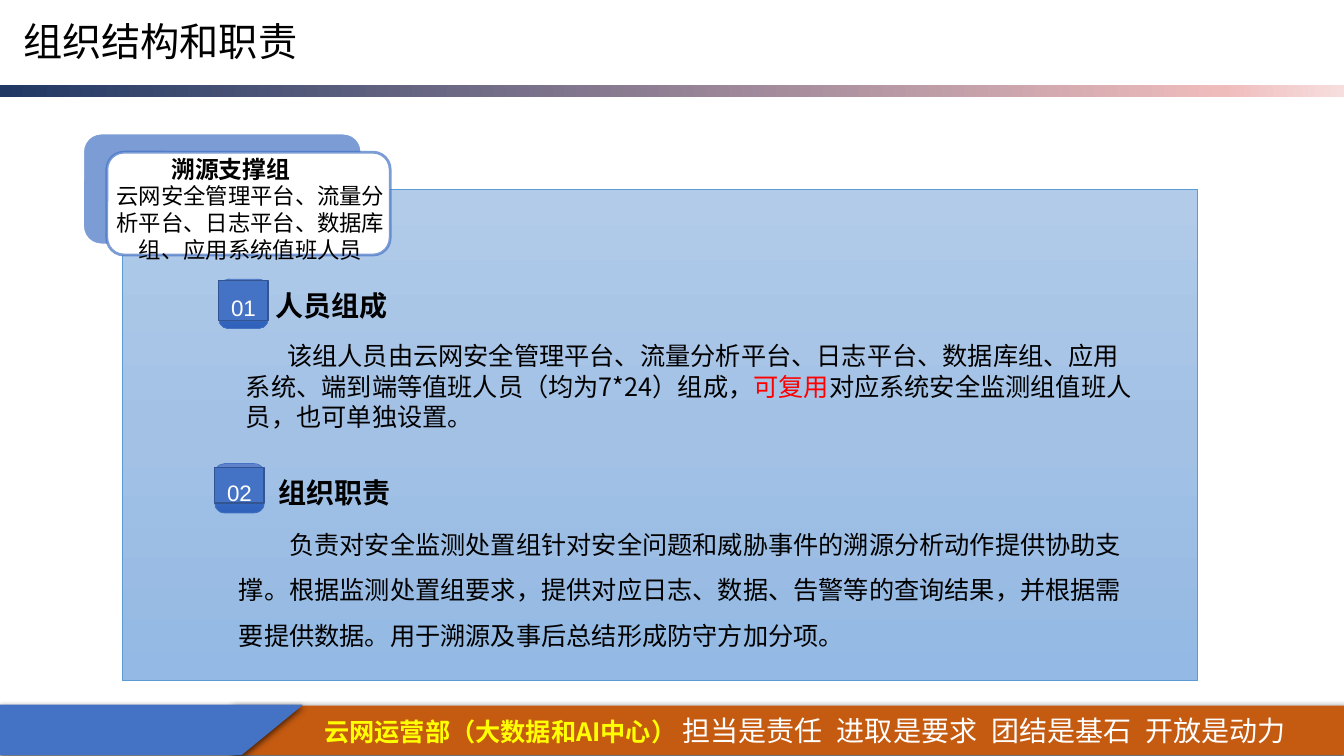
from copy import deepcopy
from lxml.etree import SubElement
from pptx import Presentation
from pptx.dml.color import RGBColor
from pptx.enum.shapes import MSO_SHAPE as KIND
from pptx.enum.text import MSO_ANCHOR, PP_ALIGN
from pptx.oxml.ns import qn
from pptx.util import Inches, Pt

BLACK = RGBColor(0, 0, 0)
WHITE = RGBColor(255, 255, 255)
RED = RGBColor(255, 0, 0)
YELLOW = RGBColor(255, 255, 0)
ORANGE = RGBColor(0xC5, 0x5A, 0x11)
BLUE = RGBColor(0x44, 0x72, 0xC4)
EDGE = RGBColor(0x32, 0x54, 0x91)
RIM = RGBColor(0x5B, 0x9B, 0xD5)
STRIPE = [(0, RGBColor(0x20, 0x38, 0x64)), (0.91, RGBColor(0xEF, 0xBC, 0xBC)),
          (1, RGBColor(0xF7, 0xDE, 0xDE))]
SKY = [(0, RGBColor(0xB1, 0xCB, 0xE9)), (0.5, RGBColor(0xA3, 0xC1, 0xE5)),
       (1, RGBColor(0x93, 0xB9, 0xE4))]
DEEP = [(0, RGBColor(0x61, 0x83, 0xCB)), (0.5, RGBColor(0x3E, 0x70, 0xCA)),
        (1, RGBColor(0x30, 0x62, 0xBB))]
SANS = "Noto Sans CJK SC"

deck = Presentation()
deck.slide_width, deck.slide_height = Inches(13.33), Inches(7.5)
slide = deck.slides.add_slide(deck.slide_layouts[6])
COL, ROW = deck.slide_width / 100, deck.slide_height / 100


def block(kind, x, y, w, h, fill, line=None, width=0, angle=270):
    shape = slide.shapes.add_shape(kind, int(x * COL), int(y * ROW), int(w * COL), int(h * ROW))
    shape.shadow.inherit = False
    if isinstance(fill, list):
        shape.fill.gradient()
        shape.fill.gradient_angle = angle
        stops = shape._element.spPr.find(".//" + qn("a:gsLst"))
        stops.append(deepcopy(stops[0]))
        for stop, (place, tone) in zip(shape.fill.gradient_stops, fill):
            stop.position, stop.color.rgb = place, tone
    else:
        shape.fill.solid()
        shape.fill.fore_color.rgb = fill
    if line is None:
        shape.line.fill.background()
    else:
        shape.line.color.rgb, shape.line.width = line, Pt(width)
    return shape


def write(x, y, w, h, text, size, pad=True, bold=False, font=SANS, tone=BLACK, shape=None):
    shape = shape or slide.shapes.add_textbox(int(x * COL), int(y * ROW), int(w * COL), int(h * ROW))
    frame = shape.text_frame
    frame.word_wrap = True
    if not pad:
        frame.margin_left = frame.margin_right = frame.margin_top = frame.margin_bottom = 0
    para = frame.paragraphs[0]
    for part in text:
        run = para.add_run()
        run.text = part
        run.font.size, run.font.bold, run.font.name = Pt(size), bold, font
        run.font.color.rgb = tone
        SubElement(run.font._element, qn("a:ea"), typeface=SANS)
    return para


foot = block(KIND.RECTANGLE, 17.4, 93.33, 82.67, 6.53, ORANGE)
flag = block(KIND.FLOWCHART_MANUAL_INPUT, 9.38, 76.53, 3.68, 40, BLUE, BLUE, 0.75)
flag.rotation = 90
flag._element.spPr.xfrm.set("flipH", "1")
for shape in (foot, flag):
    glow = SubElement(shape._element.spPr.find(qn("a:effectLst")), qn("a:outerShdw"),
                      blurRad=str(Pt(4.5)), dist=str(Pt(1.5)), dir="5400000", rotWithShape="0")
    SubElement(SubElement(glow, qn("a:srgbClr"), val="000000"), qn("a:alpha"), val="63000")

foot.text_frame.vertical_anchor = MSO_ANCHOR.MIDDLE
motto = write(0, 0, 0, 0, ["云网运营部（大数据和AI中心）",
                           " 担当是责任\u2002进取是要求\u2002团结是基石\u2002开放是动力"],
              20, tone=WHITE, shape=foot)
motto.alignment = PP_ALIGN.CENTER
foot.text_frame.margin_left = Inches(0.41)
unit = motto.runs[0].font
unit.size, unit.bold, unit.color.rgb = Pt(18), True, YELLOW

block(KIND.RECTANGLE, 0, 11.2, 100, 1.6, STRIPE, angle=0)
block(KIND.RECTANGLE, 9.08, 25.07, 80.05, 64.93, SKY, RIM, 0.5)
write(0.98, 2.4, 90.55, 8.4, ["组织结构和职责"], 28).line_spacing = 0.9

back = block(KIND.ROUNDED_RECTANGLE, 6.15, 17.6, 20.78, 14.8, BLUE, WHITE, 2)
card = block(KIND.ROUNDED_RECTANGLE, 7.95, 20.13, 21.08, 13.6, WHITE, BLUE, 2)
for shape in (back, card):
    for tone in shape._element.spPr.iter(qn("a:srgbClr")):
        if tone.get("val") == str(BLUE):
            SubElement(tone, qn("a:alpha"), val="70000")

team = write(9.75, 19.87, 18.68, 4.4, ["溯源支撑组"], 17, bold=True)
team._p.get_or_add_pPr().set("indent", str(Inches(0.3)))
crew = write(7.43, 23.47, 22.43, 7.47,
             ["云网安全管理平台、流量分析平台、日志平台、数据库组、应用系统值班人员"], 16)
crew.alignment = PP_ALIGN.CENTER

for num, head, x, y, top, high, left, rise in (
        ("01", "人员组成", 16.28, 36.93, 37.07, 5.33, 20.48, 37.33),
        ("02", "组织职责", 15.98, 61.33, 61.87, 4.67, 20.71, 62)):
    base = block(KIND.ROUNDED_RECTANGLE, x, y, 3.68, 6.53, DEEP, BLUE, 0.5)
    base.adjustments[0] = 0.2
    badge = block(KIND.RECTANGLE, x, top, 3.68, high, BLUE, EDGE, 1)
    badge.text_frame.vertical_anchor = MSO_ANCHOR.MIDDLE
    mark = write(0, 0, 0, 0, [num], 16, pad=False, font="Arial", tone=WHITE, shape=badge)
    mark.alignment, mark.line_spacing = PP_ALIGN.CENTER, 1.5
    title = write(left, rise, 18.6, 4.93, [head], 20, pad=False, bold=True, font="Arial")
    title.line_spacing, title.space_before = 1.2, Pt(6.3)

staff = write(16.88, 45.07, 67.74, 12.13,
              ["该组人员由云网安全管理平台、流量分析平台、日志平台、数据库组、应用系统、端到端等值班人员（均为7*24）组成，",
               "可复用", "对应系统安全监测组值班人员，也可单独设置。"], 18, pad=False)
staff.space_before = Pt(6.3)
staff.runs[1].font.color.rgb = RED
duty = write(17.78, 68, 66.17, 22.27,
             ["负责对安全监测处置组针对安全问题和威胁事件的溯源分析动作提供协助支撑。"
              "根据监测处置组要求，提供对应日志、数据、告警等的查询结果，并根据需要提供数据。"
              "用于溯源及事后总结形成防守方加分项。"], 18, pad=False)
duty.line_spacing = 1.5
for para, edge, dent in ((staff, 0.19, 0.41), (duty, 0, 0.5)):
    props = para._p.get_or_add_pPr()
    props.set("marL", str(Inches(edge)))
    props.set("indent", str(Inches(dent)))

deck.save("out.pptx")
